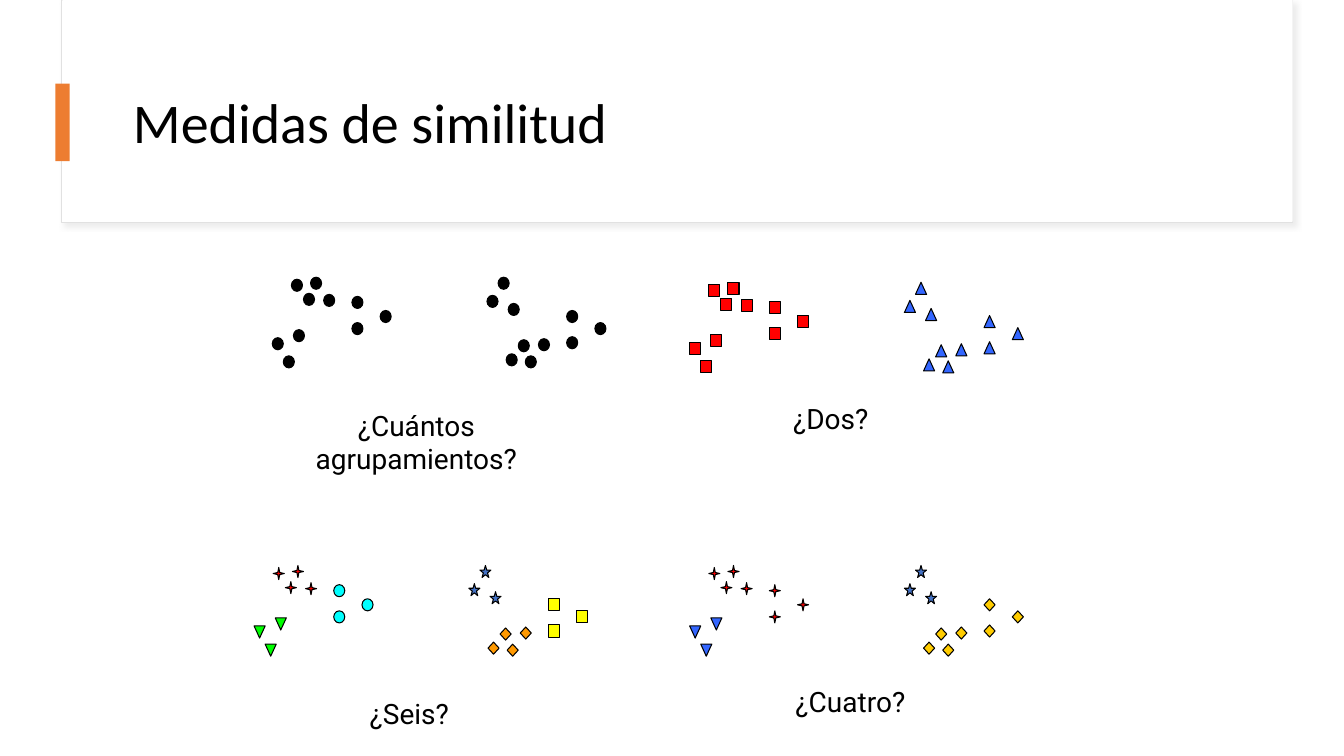
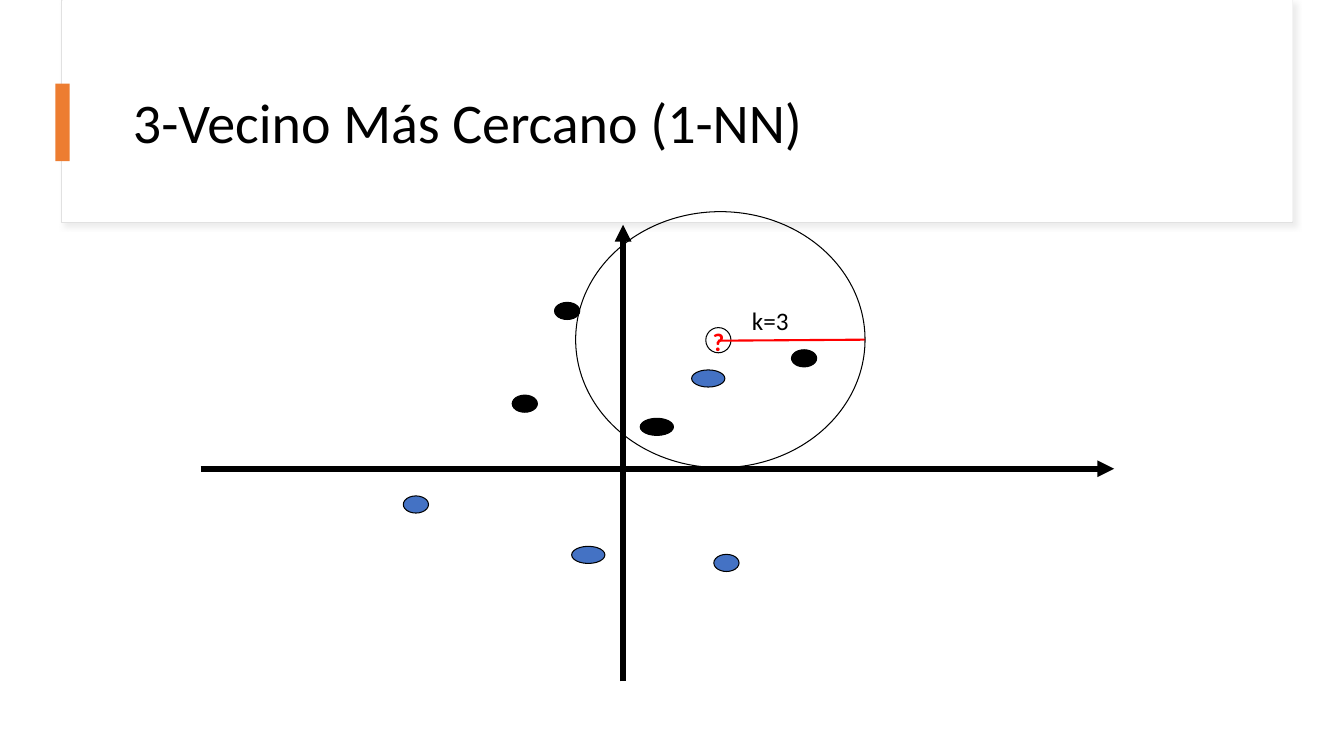
from dataclasses import dataclass
from typing import NamedTuple

from lxml import etree
from pptx import Presentation
from pptx import util as u
from pptx.dml.color import RGBColor
from pptx.enum import shapes, text
from pptx.oxml.ns import qn

COLORS = {
    "black": "000000", "white": "FFFFFF", "border": "E1E1E1", "shadow": "D9D9D9",
    "accent": "ED7D31", "steel": "4472C4", "red": "FF0000", "blue": "3366FF",
    "green": "00FF00", "cyan": "00FFFF", "yellow": "FFFF00", "orange": "FF9900",
    "gold": "FFCC00",
}
Preset = shapes.MSO_SHAPE


class Box(NamedTuple):
    left: float
    top: float
    width: float
    height: float


class Marker(NamedTuple):
    preset: Preset
    color: str


@dataclass(frozen=True)
class Panel:
    """Markers follow the order of CLUSTERS, left half first."""
    left: float
    top: float
    markers: tuple[Marker, ...]
    label: str
    label_box: Box


class Dot(NamedTuple):
    left: float
    top: float
    width: float
    color: str


# Point offsets of the left half; the right half is shifted and mirrored vertically.
CLUSTERS = (
    ((0.51, 0.17), (0.19, 0.02), (0.38, 0), (0.31, 0.16)),
    ((0.21, 0.52), (0, 0.6), (0.11, 0.78)),
    ((0.79, 0.19), (1.07, 0.33), (0.79, 0.45)),
)
HALF_SHIFT = 2.13
CLUSTER_HEIGHT = 0.78

BLACK_DOT = Marker(Preset.OVAL, "black")
RED_SQUARE = Marker(Preset.RECTANGLE, "red")
BLUE_TRIANGLE = Marker(Preset.ISOSCELES_TRIANGLE, "blue")
RED_SPARK = Marker(Preset.STAR_4_POINT, "red")
STEEL_STAR = Marker(Preset.STAR_5_POINT, "steel")
GOLD_DIAMOND = Marker(Preset.DIAMOND, "gold")

PANELS = (
    Panel(2.7, 2.75, (BLACK_DOT,) * 6,
          "¿Cuántos agrupamientos?", Box(3, 4, 2.26, 0.77)),
    Panel(6.84, 2.8, (RED_SQUARE,) * 3 + (BLUE_TRIANGLE,) * 3,
          "¿Dos?", Box(7.11, 3.93, 2.26, 0.43)),
    Panel(2.52, 5.61,
          (RED_SPARK, Marker(Preset.FLOWCHART_MERGE, "green"), Marker(Preset.OVAL, "cyan"),
           Marker(Preset.DIAMOND, "orange"), STEEL_STAR, Marker(Preset.RECTANGLE, "yellow")),
          "¿Seis?", Box(2.93, 6.86, 2.26, 0.43)),
    Panel(6.84, 5.61,
          (RED_SPARK, Marker(Preset.FLOWCHART_MERGE, "blue"), RED_SPARK,
           GOLD_DIAMOND, STEEL_STAR, GOLD_DIAMOND),
          "¿Cuatro?", Box(7.3, 6.74, 2.27, 0.43)),
)

NEIGHBOURS = (
    Dot(5.67, 5.42, 0.33, "steel"), Dot(5.08, 3.92, 0.25, "black"),
    Dot(7.85, 3.47, 0.25, "black"), Dot(5.5, 3, 0.25, "black"),
    Dot(4, 4.92, 0.25, "steel"), Dot(7.08, 5.5, 0.25, "steel"),
    Dot(6.86, 3.67, 0.33, "steel"), Dot(6.35, 4.15, 0.33, "black"),
)


def rgb(color: str) -> RGBColor:
    return RGBColor.from_string(COLORS[color])


def add_preset(parent, preset: Preset, box: Box, fill: str | None = None,
               line: str | None = None):
    shape = parent.shapes.add_shape(preset, *map(u.Inches, box))
    shape.shadow.inherit = False
    if fill:
        shape.fill.solid()
        shape.fill.fore_color.rgb = rgb(fill)
    else:
        shape.fill.background()
    if line:
        shape.line.color.rgb = rgb(line)
        shape.line.width = u.Pt(0.75)
    else:
        shape.line.fill.background()
    return shape


def add_text(parent, content: str, box: Box, size: float, font: str = "Calibri",
             color: str = "black", wrap: bool = True):
    shape = parent.shapes.add_textbox(*map(u.Inches, box))
    shape.text_frame.word_wrap = wrap
    paragraph = shape.text_frame.paragraphs[0]
    paragraph.text = content
    paragraph.font.size = u.Pt(size)
    paragraph.font.name = font
    paragraph.font.color.rgb = rgb(color)
    return shape


def add_line(slide, start: tuple[float, float], end: tuple[float, float],
             color: str, width: float, arrow: bool = False) -> None:
    connector = slide.shapes.add_connector(
        shapes.MSO_CONNECTOR.STRAIGHT, *map(u.Inches, start + end))
    connector.line.color.rgb = rgb(color)
    connector.line.width = u.Pt(width)
    properties = connector._element.spPr
    if arrow:
        etree.SubElement(properties.find(qn("a:ln")), qn("a:tailEnd"), type="triangle")
    etree.SubElement(properties, qn("a:effectLst"))


def add_soft_shadow(shape) -> None:
    effects = shape._element.spPr.find(qn("a:effectLst"))
    shadow = etree.SubElement(
        effects, qn("a:outerShdw"), blurRad=str(u.Pt(4)), dist=str(u.Pt(3)),
        dir=str(45 * 60000), algn="tl", rotWithShape="0")
    color = etree.SubElement(shadow, qn("a:srgbClr"), val=COLORS["shadow"])
    etree.SubElement(color, qn("a:alpha"), val="50000")


def add_titled_slide(presentation, title: str):
    slide = presentation.slides.add_slide(presentation.slide_layouts[6])
    frame = add_preset(slide, Preset.RECTANGLE, Box(0.61, 0, 12.21, 2.21), "white", "border")
    add_soft_shadow(frame)
    add_preset(slide, Preset.RECTANGLE, Box(0.62, 0, 12.2, 2.2), "white")
    title_box = add_text(slide, title, Box(1.22, 0.6, 11.12, 1.29), 40)
    title_box.text_frame.vertical_anchor = text.MSO_ANCHOR.MIDDLE
    title_box.text_frame.paragraphs[0].line_spacing = 0.9
    add_preset(slide, Preset.RECTANGLE, Box(0.55, 0.83, 0.14, 0.77), "accent")
    return slide


def add_panel(slide, panel: Panel) -> None:
    group = slide.shapes.add_group_shape()
    for index, marker in enumerate(panel.markers):
        half, cluster = divmod(index, len(CLUSTERS))
        for x, y in CLUSTERS[cluster]:
            left = panel.left + x + half * HALF_SHIFT
            top = panel.top + (CLUSTER_HEIGHT - y if half else y)
            add_preset(group, marker.preset, Box(left, top, 0.11, 0.12), marker.color, "black")
    label = add_text(group, panel.label, panel.label_box, 20, "Roboto")
    label.text_frame.paragraphs[0].alignment = text.PP_ALIGN.CENTER


def build_similarity_slide(presentation) -> None:
    slide = add_titled_slide(presentation, "Medidas de similitud")
    for panel in PANELS:
        add_panel(slide, panel)


def build_neighbours_slide(presentation) -> None:
    slide = add_titled_slide(presentation, "3-Vecino Más Cercano (1-NN)")
    for dot in NEIGHBOURS:
        add_preset(slide, Preset.OVAL, Box(dot.left, dot.top, dot.width, 0.17),
                   dot.color, "black")
    add_preset(slide, Preset.OVAL, Box(7, 3.25, 0.25, 0.25), line="black")
    add_line(slide, (1.99, 4.65), (11.05, 4.65), "black", 4, arrow=True)
    add_line(slide, (6.18, 6.76), (6.18, 2.23), "black", 4, arrow=True)
    query = add_text(slide, "?", Box(6.97, 3.19, 0.32, 0.4), 18, color="red", wrap=False)
    query.text_frame.paragraphs[0].font.bold = True
    add_line(slide, (7.12, 3.38), (8.58, 3.37), "red", 1.5)
    add_text(slide, "k=3", Box(7.36, 2.98, 0.57, 0.4), 18, wrap=False)
    add_preset(slide, Preset.OVAL, Box(5.71, 2.1, 2.87, 2.54), line="black")


def main() -> None:
    presentation = Presentation()
    presentation.slide_width = u.Inches(13.33)
    presentation.slide_height = u.Inches(7.5)
    build_similarity_slide(presentation)
    build_neighbours_slide(presentation)
    presentation.save("out.pptx")


if __name__ == "__main__":
    main()
